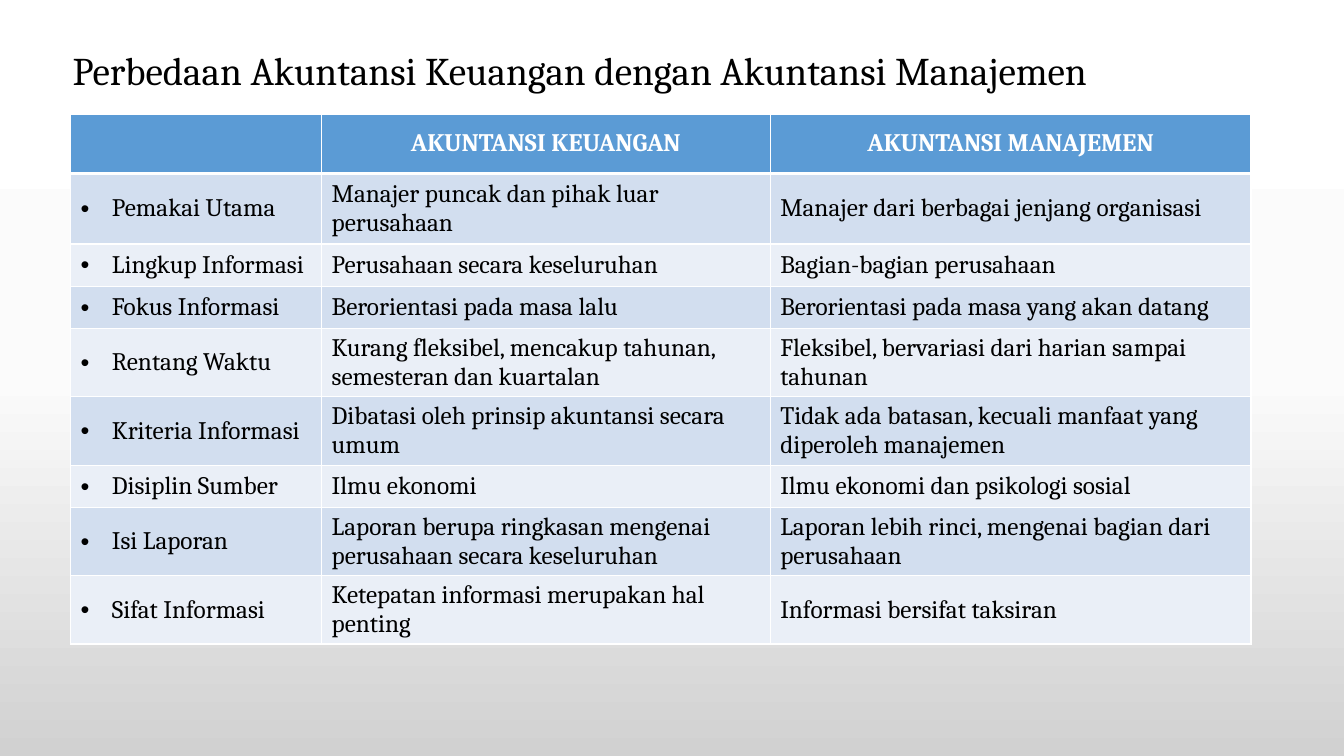
from copy import deepcopy

from lxml.etree import SubElement
from pptx import Presentation
from pptx.dml.color import RGBColor
from pptx.enum.text import MSO_ANCHOR, MSO_AUTO_SIZE, PP_ALIGN
from pptx.oxml import parse_xml
from pptx.oxml.ns import nsdecls, qn
from pptx.util import Inches, Pt

WIDE, HIGH = Inches(13.33), Inches(7.5)
FONT = "Cambria"
BLACK, WHITE, BLUE = "000000", "FFFFFF", "5B9BD5"
BANDS = ("D2DEEF", "EAEFF7")
COLS = (18.68, 33.38, 35.78)
ROWS = (7.87, 9.33) + (5.6,) * 7
DATA = (
    ("", "AKUNTANSI KEUANGAN", "AKUNTANSI MANAJEMEN"),
    ("Pemakai Utama", "Manajer puncak dan pihak luar perusahaan",
     "Manajer dari berbagai jenjang organisasi"),
    ("Lingkup Informasi", "Perusahaan secara keseluruhan",
     "Bagian-bagian perusahaan"),
    ("Fokus Informasi", "Berorientasi pada masa lalu",
     "Berorientasi pada masa yang akan datang"),
    ("Rentang Waktu",
     "Kurang fleksibel, mencakup tahunan, semesteran dan kuartalan",
     "Fleksibel, bervariasi dari harian sampai tahunan"),
    ("Kriteria Informasi", "Dibatasi oleh prinsip akuntansi secara umum",
     "Tidak ada batasan, kecuali manfaat yang diperoleh manajemen"),
    ("Disiplin Sumber", "Ilmu ekonomi",
     "Ilmu ekonomi dan psikologi sosial"),
    ("Isi Laporan",
     "Laporan berupa ringkasan mengenai perusahaan secara keseluruhan",
     "Laporan lebih rinci, mengenai bagian dari perusahaan"),
    ("Sifat Informasi", "Ketepatan informasi merupakan hal penting",
     "Informasi bersifat taksiran"),
)


def across(part):
    """Return a percentage of the slide's width."""
    return int(WIDE * part / 100)


def down(part):
    """Return a percentage of the slide's height."""
    return int(HIGH * part / 100)


def paint(color, code):
    """Set a colour from a hex string."""
    color.rgb = RGBColor.from_string(code)


def style(para, size, code, align=PP_ALIGN.LEFT, bold=False):
    """Format a paragraph and its runs."""
    para.alignment = align
    for run in para.runs:
        font = run.font
        font.name, font.size, font.bold = FONT, Pt(size), bold
        paint(font.color, code)


def backdrop(slide):
    """Shade the background from white down to grey."""
    fill = slide.background.fill
    fill.gradient()
    fill.gradient_angle = 270
    stops = slide.element.find(".//" + qn("a:gsLst"))
    stops.append(deepcopy(stops[-1]))
    shades = ((0, "FFFFFF"), (0.5, "FBFBFB"), (1, "D1D1D1"))
    for stop, (place, code) in zip(fill.gradient_stops, shades):
        stop.position = place
        paint(stop.color, code)


def heading(slide, text):
    """Place the slide's title."""
    title = slide.shapes.title
    title.left, title.top = across(4.65), down(6.13)
    title.width, title.height = across(89.5), down(89.73)
    frame = title.text_frame
    frame.text = text
    frame.word_wrap = True
    frame.auto_size = MSO_AUTO_SIZE.NONE
    frame.vertical_anchor = MSO_ANCHOR.TOP
    para = frame.paragraphs[0]
    para.line_spacing, para.space_before = 0.9, Pt(10)
    style(para, 28, BLACK)


def bullet(para):
    """Give a paragraph a hanging bullet."""
    props = para._p.get_or_add_pPr()
    indent = Inches(0.31)
    props.set("marL", str(indent))
    props.set("indent", str(-indent))
    SubElement(props, qn("a:buFont"), typeface="Arial")
    SubElement(props, qn("a:buChar"), char="•")


def border(cell, row):
    """Rule a cell in white, with a thick line under the header."""
    thick = {0: "B", 1: "T"}.get(row)
    props = cell._tc.get_or_add_tcPr()
    for spot, side in enumerate("LRTB"):
        width = Pt(3 if side == thick else 1)
        props.insert(spot, parse_xml(
            f'<a:ln{side} {nsdecls("a")} w="{width}"><a:solidFill>'
            f'<a:srgbClr val="{WHITE}"/></a:solidFill></a:ln{side}>'))


def fill_cell(cell, row, col, text):
    """Write, fill and rule one cell."""
    cell.vertical_anchor = MSO_ANCHOR.MIDDLE
    cell.fill.solid()
    paint(cell.fill.fore_color, BANDS[(row - 1) % 2] if row else BLUE)
    border(cell, row)
    cell.text_frame.text = text
    para = cell.text_frame.paragraphs[0]
    if row:
        style(para, 18, BLACK)
        if col == 0:
            bullet(para)
    else:
        style(para, 18, WHITE, PP_ALIGN.CENTER, True)


def grid(slide):
    """Build the comparison table."""
    frame = slide.shapes.add_table(
        len(ROWS), len(COLS), across(5.25), down(15.07),
        across(sum(COLS)), down(sum(ROWS)))
    table = frame.table
    for col, part in zip(table.columns, COLS):
        col.width = across(part)
    for row, part in zip(table.rows, ROWS):
        row.height = down(part)
    for row, texts in enumerate(DATA):
        for col, text in enumerate(texts):
            fill_cell(table.cell(row, col), row, col, text)
    frame.height = down(78.8)


def main():
    """Build and save the slide."""
    deck = Presentation()
    deck.slide_width, deck.slide_height = WIDE, HIGH
    slide = deck.slides.add_slide(deck.slide_layouts[5])
    backdrop(slide)
    heading(slide, "Perbedaan Akuntansi Keuangan dengan Akuntansi Manajemen")
    grid(slide)
    deck.save("out.pptx")


if __name__ == "__main__":
    main()
